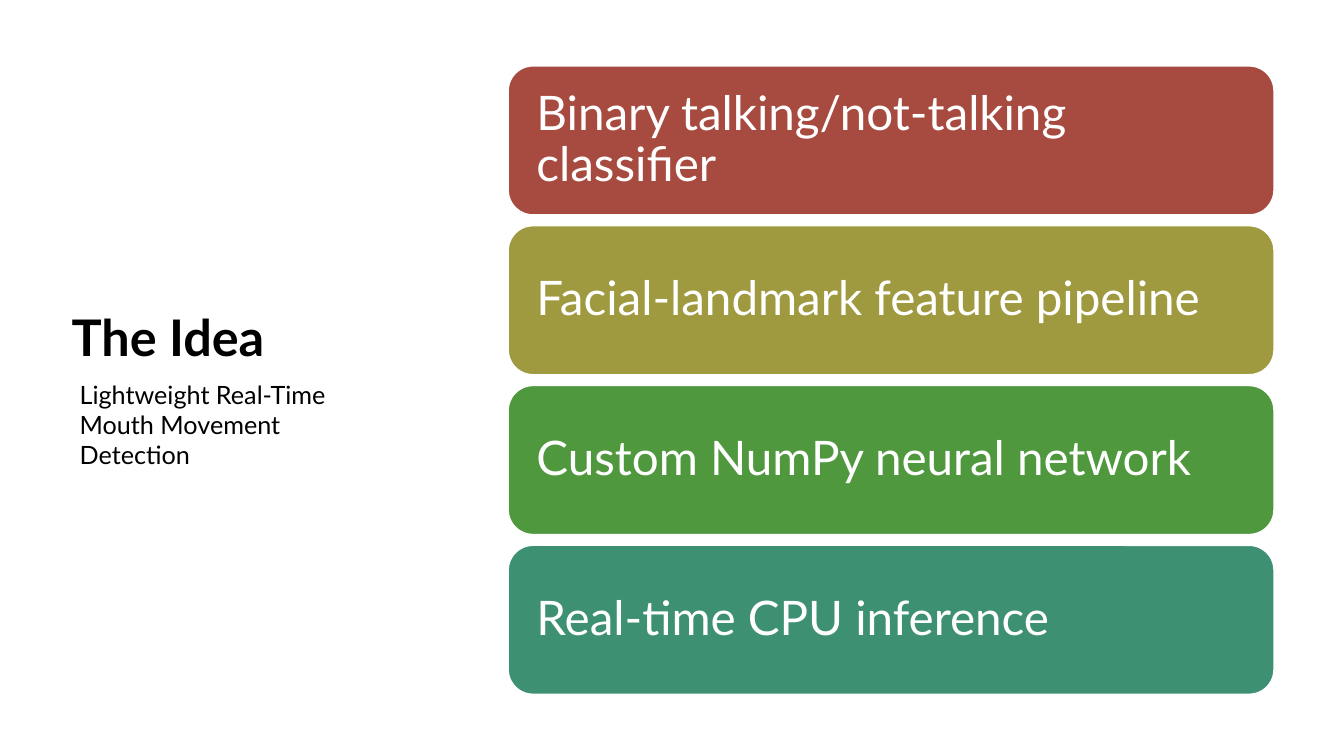
"""Build the slide that sums up the idea in four stacked cards."""
from dataclasses import dataclass

from pptx import Presentation
from pptx.dml.color import RGBColor
from pptx.enum import shapes, text
from pptx.util import Pt

TITLE = "The Idea"
NOTE = "Lightweight Real-Time Mouth Movement Detection"
CARDS = [
    ("Binary talking/not-talking classifier", "A74B40"),
    ("Facial-landmark feature pipeline", "9F9A3F"),
    ("Custom NumPy neural network", "50983E"),
    ("Real-time CPU inference", "3D9072"),
]


@dataclass(frozen=True)
class Theme:
    font: str = "Lato"
    ink: str = "000000"
    paper: str = "FFFFFF"
    head: int = 36
    card: int = 34
    note: int = 18


THEME = Theme()
LEFT, TOP, WIDTH, HIGH, GAP = 363, 47.1, 547, 106.4, 7.75
INSET = 15


def place(shape, left, top, width, height):
    shape.left, shape.top = Pt(left), Pt(top)
    shape.width, shape.height = Pt(width), Pt(height)


def write(shape, words, size, color, bold=False, space=1.0):
    frame = shape.text_frame
    frame.word_wrap = True
    para = frame.paragraphs[0]
    para.alignment = text.PP_ALIGN.LEFT
    para.line_spacing = space
    run = para.add_run()
    run.text = words
    run.font.name = THEME.font
    run.font.size = Pt(size)
    run.font.bold = bold
    run.font.color.rgb = RGBColor.from_string(color)
    return frame


def add_card(slide, row, words, color):
    top = TOP + row * (HIGH + GAP)
    card = slide.shapes.add_shape(
        shapes.MSO_SHAPE.ROUNDED_RECTANGLE,
        Pt(LEFT), Pt(top), Pt(WIDTH), Pt(HIGH))
    card.shadow.inherit = False
    card.fill.solid()
    card.fill.fore_color.rgb = RGBColor.from_string(color)
    card.line.color.rgb = RGBColor.from_string(THEME.paper)
    card.line.width = Pt(1)
    frame = write(card, words, THEME.card, THEME.paper, space=0.9)
    frame.vertical_anchor = text.MSO_ANCHOR.MIDDLE
    frame.margin_left = frame.margin_right = Pt(INSET)
    frame.margin_top = frame.margin_bottom = Pt(INSET)


def main():
    deck = Presentation()
    deck.slide_width, deck.slide_height = Pt(960), Pt(540)
    slide = deck.slides.add_slide(deck.slide_layouts[5])

    title = slide.shapes.title
    place(title, 44, 219.6, 275, 46.8)
    frame = write(title, TITLE, THEME.head, THEME.ink, bold=True, space=0.9)
    frame.vertical_anchor = text.MSO_ANCHOR.MIDDLE
    frame.auto_size = text.MSO_AUTO_SIZE.NONE

    for row, (words, color) in enumerate(CARDS):
        add_card(slide, row, words, color)

    note = slide.shapes.add_textbox(Pt(49.8), Pt(267.3), Pt(237.6), Pt(72.7))
    frame = write(note, NOTE, THEME.note, THEME.ink)
    frame.auto_size = text.MSO_AUTO_SIZE.SHAPE_TO_FIT_TEXT

    deck.save("out.pptx")


if __name__ == "__main__":
    main()
